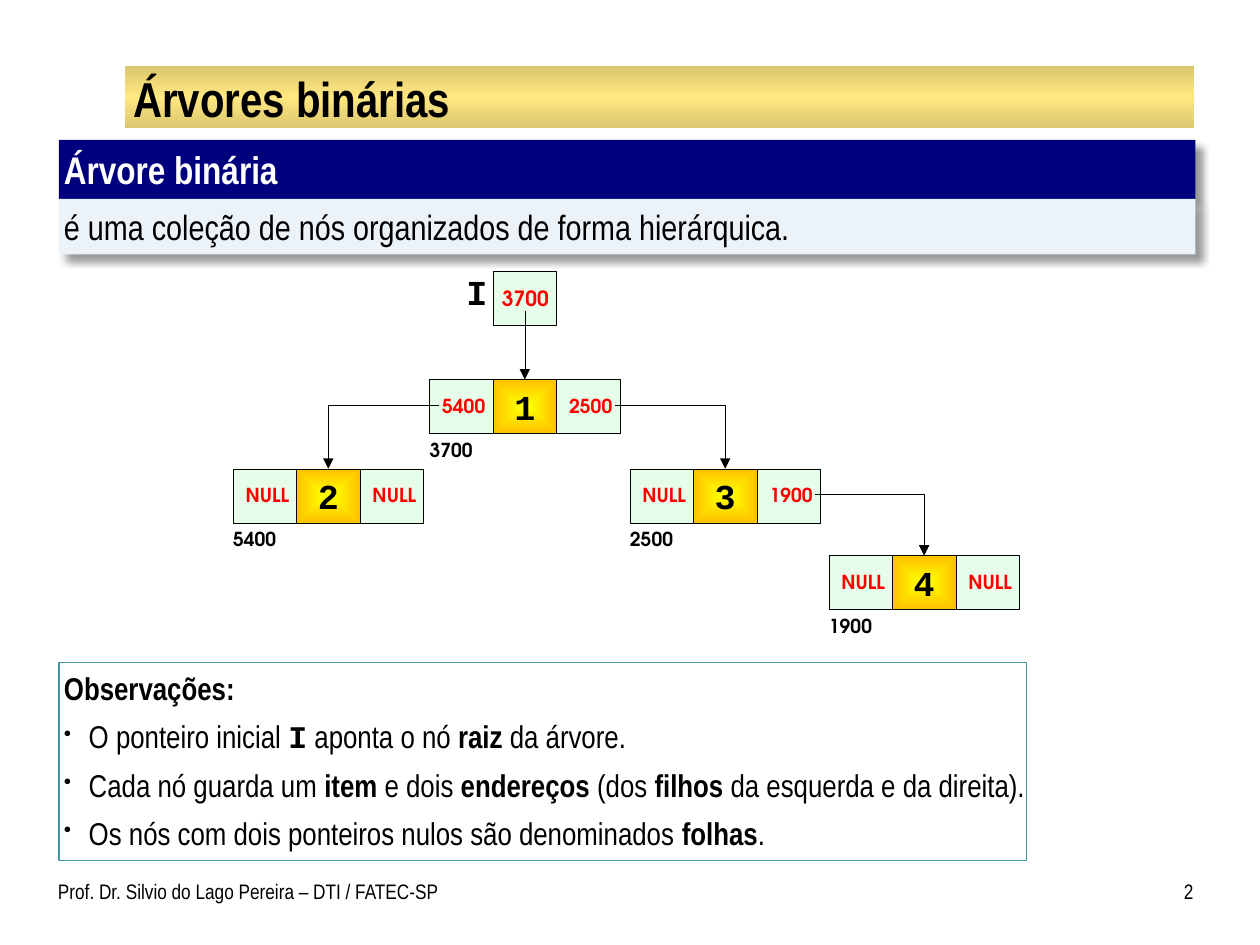
from lxml import etree
from pptx import Presentation
from pptx import util as u
from pptx.dml.color import RGBColor
from pptx.enum import shapes, text
from pptx.oxml import parse_xml
from pptx.oxml.ns import nsdecls, qn

COLORS = {
    "black": "000000", "white": "FFFFFF", "navy": "00007E", "ice": "EBF3F9",
    "teal": "4597A0", "mint": "E6FEE9", "red": "FF0000", "yellow": "FFFF00",
    "orange": "FFC000", "gold": "FFE781", "dark gold": "DAC66E",
}
BODY, CODE, ADDRESS = "Arial Narrow", "Courier New", "TeX Gyre Adventor"
LEFT, CENTER, RIGHT = text.PP_ALIGN.LEFT, text.PP_ALIGN.CENTER, text.PP_ALIGN.RIGHT
JUSTIFY = text.PP_ALIGN.JUSTIFY
TOP, MIDDLE = text.MSO_ANCHOR.TOP, text.MSO_ANCHOR.MIDDLE

CELL_W, CELL_H = 1.28, 1.09
LABEL_X, LABEL_Y, LABEL_W, LABEL_H = 0.2, 0.29, 0.98, 0.49
LINK_Y = 0.51

# address: (item, left child, right child, x, y)
NODES = {
    "3700": ("1", "5400", "2500", 8.66, 7.65),
    "5400": ("2", "NULL", "NULL", 4.7, 9.45),
    "2500": ("3", "NULL", "1900", 12.7, 9.45),
    "1900": ("4", "NULL", "NULL", 16.71, 11.2),
}
NOTES = [
    [("Observações:", BODY)],
    ["O ponteiro inicial ", ("I", CODE), " aponta o nó ", ("raiz", BODY), " da árvore."],
    ["Cada nó guarda um ", ("item", BODY), " e dois ", ("endereços", BODY),
     " (dos ", ("filhos", BODY), " da esquerda e da direita)."],
    ["Os nós com dois ponteiros nulos são denominados ", ("folhas", BODY), "."],
]


def rgb(name):
    return RGBColor.from_string(COLORS[name])


def add_bullet(paragraph):
    properties = paragraph._p.get_or_add_pPr()
    properties.set("marL", str(u.Cm(0.5)))
    properties.set("indent", str(-u.Cm(0.5)))
    etree.SubElement(properties, qn("a:buSzPct")).set("val", "69000")
    etree.SubElement(properties, qn("a:buChar")).set("char", "•")


def write(shape, paragraphs, size, font=BODY, color="black", bold=False, align=LEFT,
          anchor=TOP, insets=(0, 0, 0, 0), wrap=True, bullets_from=None, before=0):
    """Fill a shape with paragraphs of runs; a run is plain text or a bold (text, font)."""
    frame = shape.text_frame
    frame.word_wrap = wrap
    frame.vertical_anchor = anchor
    (frame.margin_left, frame.margin_top,
     frame.margin_right, frame.margin_bottom) = map(u.Cm, insets)
    for index, runs in enumerate(paragraphs):
        paragraph = frame.add_paragraph() if index else frame.paragraphs[0]
        if bullets_from is not None and index >= bullets_from:
            add_bullet(paragraph)
        paragraph.alignment = align
        paragraph.space_before = u.Pt(before if index else 0)
        for part in runs:
            words, face = part if isinstance(part, tuple) else (part, font)
            run = paragraph.add_run()
            run.text = words
            run.font.name = face
            run.font.size = u.Pt(size)
            run.font.bold = bold or isinstance(part, tuple)
            run.font.color.rgb = rgb(color)


class Board:
    def __init__(self, slide):
        self.slide = slide
        self.thin = u.Pt(0.25)

    def box(self, x, y, w, h, fill=None, line=None, line_width=0.25):
        shape = self.slide.shapes.add_shape(
            shapes.MSO_SHAPE.RECTANGLE, u.Cm(x), u.Cm(y), u.Cm(w), u.Cm(h))
        shape.shadow.inherit = False
        if fill:
            shape.fill.solid()
            shape.fill.fore_color.rgb = rgb(fill)
        else:
            shape.fill.background()
        if line:
            shape.line.color.rgb = rgb(line)
            shape.line.width = u.Pt(line_width)
        else:
            shape.line.fill.background()
        return shape

    def gradient_box(self, x, y, w, h, stops, direction, line=None):
        shape = self.box(x, y, w, h, line=line)
        marks = "".join(f'<a:gs pos="{at * 1000}"><a:srgbClr val="{COLORS[name]}"/></a:gs>'
                        for at, name in stops)
        gradient = parse_xml(f'<a:gradFill {nsdecls("a")} rotWithShape="1">'
                             f'<a:gsLst>{marks}</a:gsLst>{direction}</a:gradFill>')
        properties = shape._element.spPr
        properties.replace(properties.find(qn("a:noFill")), gradient)
        return shape

    def shadowed_box(self, *place, fill):
        shape = self.box(*place, fill=fill)
        shape._element.spPr.find(qn("a:effectLst")).append(parse_xml(
            f'<a:outerShdw {nsdecls("a")} blurRad="{u.Pt(4)}" dist="{u.Pt(6)}" dir="2700000"'
            ' algn="tl" rotWithShape="0"><a:srgbClr val="000000"><a:alpha val="40000"/>'
            '</a:srgbClr></a:outerShdw>'))
        return shape

    def label(self, x, y, w, h, words, size, **style):
        textbox = self.slide.shapes.add_textbox(u.Cm(x), u.Cm(y), u.Cm(w), u.Cm(h))
        write(textbox, [[words]], size, **style)

    def arrow(self, x1, y1, x2, y2):
        """Draw a straight arrow, or one that runs sideways and then down."""
        bent = x1 != x2
        kind = shapes.MSO_CONNECTOR.ELBOW if bent else shapes.MSO_CONNECTOR.STRAIGHT
        link = self.slide.shapes.add_connector(kind, *map(u.Cm, (x1, y1, x2, y2)))
        link.line.color.rgb = rgb("black")
        link.line.width = self.thin
        properties = link._element.spPr
        if bent:
            properties.find(qn("a:prstGeom")).set("prst", "bentConnector2")
        etree.SubElement(link.line._get_or_add_ln(), qn("a:tailEnd")).set("type", "triangle")
        etree.SubElement(properties, qn("a:effectLst"))

    def pointer(self, x, y, address):
        self.box(x, y, CELL_W, CELL_H, fill="mint", line="black")
        value = self.box(x + LABEL_X, y + LABEL_Y, LABEL_W, LABEL_H, fill="mint")
        write(value, [[address]], 11, font=ADDRESS, color="red", bold=True,
              align=CENTER, wrap=False)

    def node(self, address):
        item, left, right, x, y = NODES[address]
        self.pointer(x, y, left)
        self.pointer(x + 2 * CELL_W, y, right)
        cell = self.gradient_box(
            x + CELL_W, y, CELL_W, CELL_H, [(0, "yellow"), (100, "orange")],
            '<a:path path="shape"><a:fillToRect l="50000" t="50000" r="50000" b="50000"/>'
            '</a:path>', line="black")
        write(cell, [[item]], 20, font=CODE, bold=True, align=CENTER, anchor=MIDDLE,
              insets=(0, 0.08, 0, 0.08))
        self.label(x, y + 1.13, 1.32, 0.66, address, 11, font=ADDRESS, bold=True,
                   insets=(0, 0.05, 0, 0.08))

    def links(self, address):
        _, left, right, x, y = NODES[address]
        right_start = 2 * CELL_W + LABEL_X + LABEL_W
        for child, start in ((left, LABEL_X), (right, right_start)):
            if child in NODES:
                child_x, child_y = NODES[child][3:]
                self.arrow(x + start, y + LINK_Y, child_x + 1.5 * CELL_W, child_y)


def main():
    deck = Presentation()
    deck.slide_width, deck.slide_height = u.Cm(25.4), u.Cm(19.05)
    board = Board(deck.slides.add_slide(deck.slide_layouts[6]))

    board.gradient_box(2.52, 1.33, 21.56, 1.26,
                       [(0, "dark gold"), (50, "gold"), (100, "dark gold")],
                       '<a:lin ang="5400000" scaled="0"/>')
    board.label(2.54, 1.37, 21.51, 1.19, "Árvores binárias", 28, bold=True,
                anchor=MIDDLE, insets=(0.15, 0.03, 0.15, 0.03))
    board.label(1.17, 17.58, 9, 1.07, "Prof. Dr. Silvio do Lago Pereira – DTI / FATEC-SP", 12,
                insets=(0, 0.13, 0.25, 0.13))
    board.label(23.06, 17.58, 1, 1.07, "2", 12, align=RIGHT, insets=(0.25, 0.13, 0, 0.13))

    padding = (0.1, 0.13, 0.1, 0.13)
    term = board.shadowed_box(1.19, 2.82, 22.91, 1.19, fill="navy")
    write(term, [["Árvore binária"]], 22, color="white", bold=True, insets=padding)
    definition = board.shadowed_box(1.19, 4.01, 22.91, 1.12, fill="ice")
    write(definition, [["é uma coleção de nós organizados de forma hierárquica."]], 20,
          align=JUSTIFY, insets=padding)

    notes = board.box(1.19, 13.36, 19.51, 3.99, line="teal", line_width=0.75)
    write(notes, NOTES, 18, align=JUSTIFY, insets=(0.1, 0.13, 0, 0.13),
          bullets_from=1, before=6)

    root_x, root_y = NODES["3700"][3:]
    start_x, start_y = root_x + CELL_W, 5.46
    board.label(9.4, start_y, 0.43, CELL_H, "I", 20, font=CODE, bold=True,
                align=CENTER, wrap=False)
    board.box(start_x, start_y, CELL_W, CELL_H, fill="mint", line="black")
    start = board.box(start_x + 0.14, start_y + 0.3, 1.02, 0.51, fill="mint")
    write(start, [["3700"]], 12, font=ADDRESS, color="red", bold=True,
          align=CENTER, wrap=False)
    for address in NODES:
        board.node(address)
    center = root_x + 1.5 * CELL_W
    board.arrow(center, start_y + 0.81, center, root_y)
    for address in NODES:
        board.links(address)

    deck.save("out.pptx")


if __name__ == "__main__":
    main()
